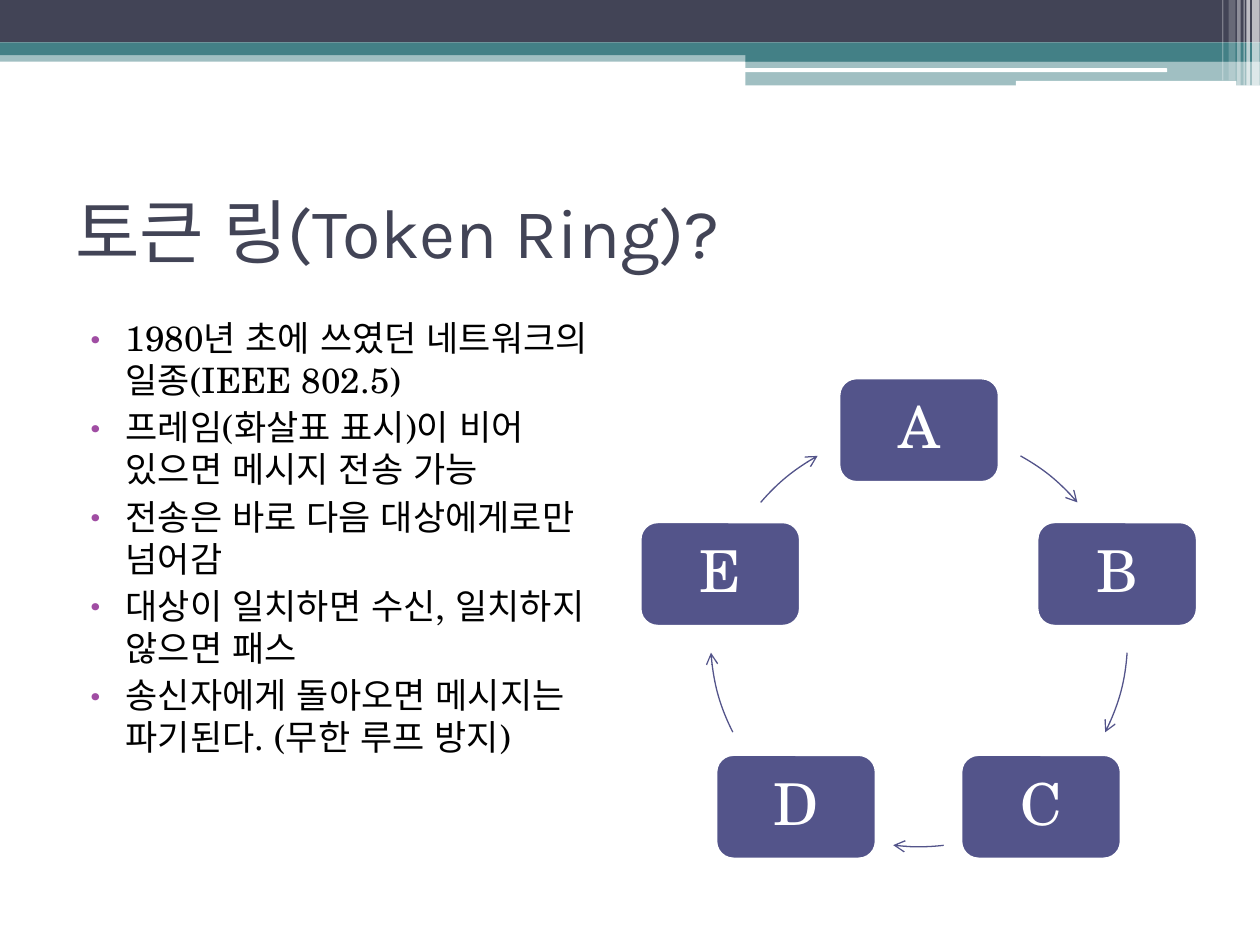
from lxml.etree import SubElement
from pptx import Presentation
from pptx.dml.color import RGBColor
from pptx.enum.lang import MSO_LANGUAGE_ID as Language
from pptx.enum.shapes import MSO_SHAPE as Shape
from pptx.enum.text import MSO_ANCHOR as Anchor, PP_ALIGN as Align
from pptx.oxml.ns import qn
from pptx.util import Pt

TITLE = "토큰 링(Token Ring)?"
BULLETS = [
    "1980년 초에 쓰였던 네트워크의 일종(IEEE 802.5)",
    "프레임(화살표 표시)이 비어 있으면 메시지 전송 가능",
    "전송은 바로 다음 대상에게로만 넘어감",
    "대상이 일치하면 수신, 일치하지 않으면 패스",
    "송신자에게 돌아오면 메시지는 파기된다. (무한 루프 방지)",
]
DARK, TEAL, INDIGO, PURPLE, WHITE = "424456", "438086", "53548A", "A04DA3", "FFFFFF"
HEAD_FONT, BODY_FONT = "Karla", "TeX Gyre Schola"

# Header bands: left, top, width, height, colour, opacity in percent
BANDS = [
    (0, 28.8, 720, 6.5, TEAL, 50),
    (0, 0, 720, 24.3, DARK, 100),
    (0, 24.3, 720, 7.2, TEAL, 100),
    (426, 28, 294, 7.2, TEAL, 100),
    (426, 34.8, 294, 14, TEAL, 50),
]
# White rounded lines: left, top, width, height
HIGHLIGHTS = [(425.5, 39, 241.5, 2.2), (580.5, 46.2, 126, 3)]
# White stripes at the right edge: left, width, height, opacity
STRIPES = [
    (715.5, 4.3, 49, 65), (712.2, 2, 49, 65), (710.6, 0.7, 49, 60),
    (707, 2, 49, 40), (702, 4, 46, 20), (698.4, 0.7, 46, 30),
]
# Ring: node centres, and the start and end angle (0 to 360, clockwise from the
# right) of the arrow leaving each node
RING_LEFT, RING_TOP, RING_SIZE = 406, 245.5, 238.4
NODE_WIDTH, NODE_HEIGHT = 91.4, 59.5
NODES = [
    ("A", 525.2, 245.8, 299.1, 319.4),
    ("B", 638.4, 328, 4, 26.8),
    ("C", 594.9, 461, 83.2, 97.1),
    ("D", 454.9, 461, 153.2, 176),
    ("E", 411.6, 328, 220.6, 240.9),
]

presentation = Presentation()
presentation.slide_width, presentation.slide_height = Pt(720), Pt(540)
slide = presentation.slides.add_slide(presentation.slide_layouts[6])


def color(hex_string):
    return RGBColor.from_string(hex_string)


def add_block(kind, left, top, width, height, fill, opacity=100):
    shape = slide.shapes.add_shape(kind, Pt(left), Pt(top), Pt(width), Pt(height))
    shape.shadow.inherit = False
    shape.line.fill.background()
    shape.fill.solid()
    shape.fill.fore_color.rgb = color(fill)
    if opacity < 100:
        solid = shape.fill._xPr.find(qn("a:solidFill"))
        SubElement(solid[0], qn("a:alpha"), val=str(opacity * 1000))
    return shape


def add_text(paragraph, text, size, font, fill, align=Align.LEFT):
    paragraph.alignment = align
    run = paragraph.add_run()
    run.text = text
    run.font.size, run.font.name = Pt(size), font
    run.font.color.rgb = color(fill)
    run.font.language_id = Language.KOREAN


def add_text_box(left, top, width, height, anchor):
    box = slide.shapes.add_textbox(Pt(left), Pt(top), Pt(width), Pt(height))
    box.text_frame.word_wrap = True
    box.text_frame.vertical_anchor = anchor
    return box.text_frame


def add_bullet(paragraph):
    properties = paragraph._p.get_or_add_pPr()
    properties.set("marL", str(Pt(28.8)))
    properties.set("indent", str(Pt(-20)))
    bullet_color = SubElement(properties, qn("a:buClr"))
    SubElement(bullet_color, qn("a:srgbClr"), val=PURPLE)
    SubElement(properties, qn("a:buFont"), typeface=HEAD_FONT)
    SubElement(properties, qn("a:buChar"), char="•")


def add_arc_arrow(start, end):
    arc = slide.shapes.add_shape(
        Shape.ARC, Pt(RING_LEFT), Pt(RING_TOP), Pt(RING_SIZE), Pt(RING_SIZE))
    # Angles are stored in 60000ths of a degree, adjustments in 100000ths
    arc.adjustments[0], arc.adjustments[1] = start * 0.6, end * 0.6
    arc.shadow.inherit = False
    arc.fill.background()
    arc.line.color.rgb = color(INDIGO)
    arc.line.width = Pt(0.75)
    SubElement(arc.line._get_or_add_ln(), qn("a:tailEnd"), type="arrow")


# Header decoration
for left, top, width, height, fill, opacity in BANDS:
    add_block(Shape.RECTANGLE, left, top, width, height, fill, opacity)
for left, top, width, height in HIGHLIGHTS:
    add_block(Shape.ROUNDED_RECTANGLE, left, top, width, height, WHITE)
for left, width, height, opacity in STRIPES:
    add_block(Shape.RECTANGLE, left, 0, width, height, WHITE, opacity)

# Title and bullets
title = add_text_box(36, 90, 648, 84, Anchor.MIDDLE)
add_text(title.paragraphs[0], TITLE, size=40, font=HEAD_FONT, fill=DARK)

body = add_text_box(36, 177.3, 318, 356.5, Anchor.TOP)
for index, text in enumerate(BULLETS):
    paragraph = body.add_paragraph() if index else body.paragraphs[0]
    paragraph.space_before = Pt(3)
    add_bullet(paragraph)
    add_text(paragraph, text, size=20, font=BODY_FONT, fill="000000")

# Token ring
for name, center_x, center_y, start, end in NODES:
    node = add_block(Shape.ROUNDED_RECTANGLE, center_x - NODE_WIDTH / 2,
                     center_y - NODE_HEIGHT / 2, NODE_WIDTH, NODE_HEIGHT, INDIGO)
    node.line.color.rgb = color(WHITE)
    node.line.width = Pt(1.5)
    node.text_frame.vertical_anchor = Anchor.MIDDLE
    label = node.text_frame.paragraphs[0]
    label.line_spacing = 0.9
    add_text(label, name, size=33, font=BODY_FONT, fill=WHITE, align=Align.CENTER)
    add_arc_arrow(start, end)

presentation.save("out.pptx")
